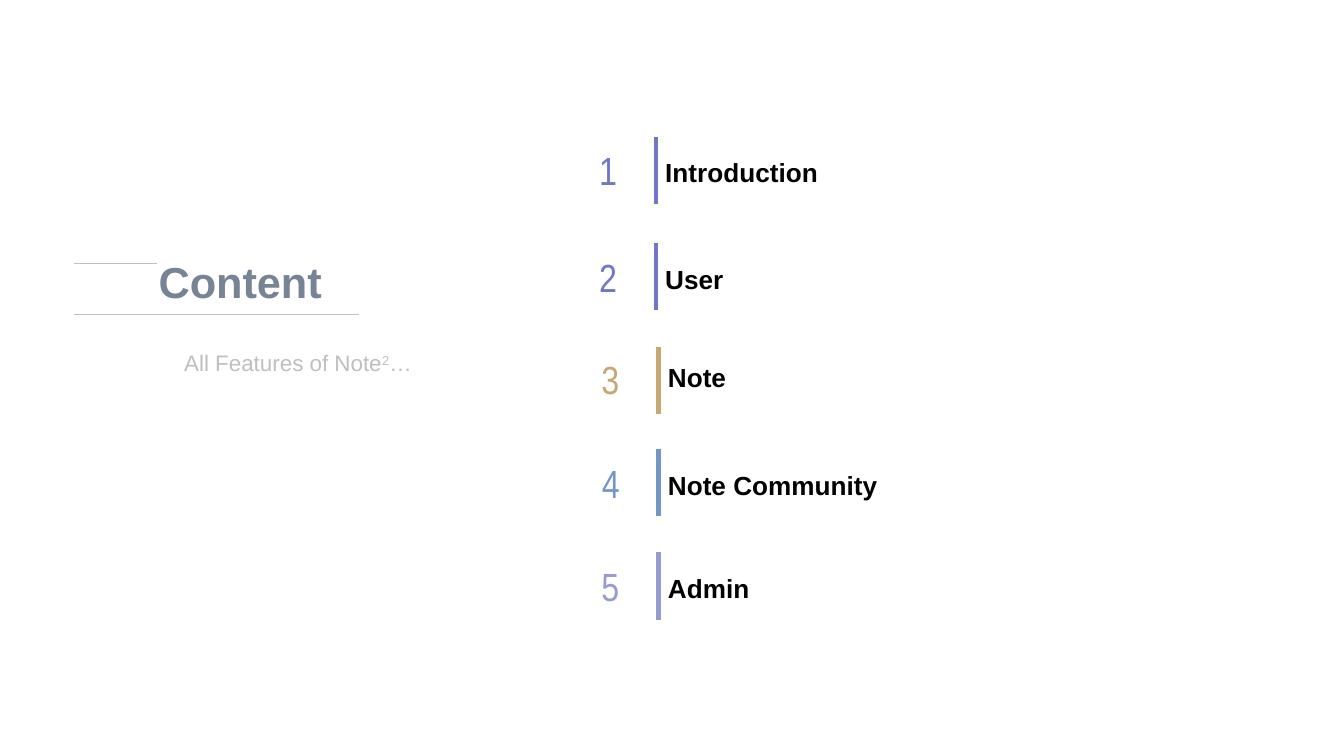
from lxml import etree
from pptx import Presentation
from pptx.dml.color import RGBColor
from pptx.enum.shapes import MSO_CONNECTOR
from pptx.enum.text import MSO_ANCHOR, PP_ALIGN
from pptx.oxml.ns import qn
from pptx.util import Inches, Pt

STRAIGHT = MSO_CONNECTOR.STRAIGHT
TOP, MIDDLE, BOTTOM = MSO_ANCHOR.TOP, MSO_ANCHOR.MIDDLE, MSO_ANCHOR.BOTTOM
LEFT, CENTER = PP_ALIGN.LEFT, PP_ALIGN.CENTER

BLACK = RGBColor(0x00, 0x00, 0x00)
GRAY = RGBColor(0xBF, 0xBF, 0xBF)
SLATE = RGBColor(0x77, 0x84, 0x95)
INDIGO = RGBColor(0x71, 0x76, 0xC5)
INDIGO_BAR = RGBColor(0x72, 0x77, 0xC5)
GOLD = RGBColor(0xC5, 0xA8, 0x73)
BLUE = RGBColor(0x73, 0x96, 0xC5)
LAVENDER = RGBColor(0x96, 0x9C, 0xD0)

presentation = Presentation()
presentation.slide_width = Inches(10)
presentation.slide_height = Inches(10) * 9 // 16
slide = presentation.slides.add_slide(presentation.slide_layouts[6])


def add_text(text, left, top, width, height, size, color, font="Arial",
             bold=False, align=LEFT, anchor=MIDDLE):
    box = slide.shapes.add_textbox(Inches(left), Inches(top), Inches(width), Inches(height))
    frame = box.text_frame
    frame.word_wrap = True
    frame.vertical_anchor = anchor
    frame.margin_left = frame.margin_right = Inches(0.07)
    frame.margin_top = frame.margin_bottom = Inches(0.04)
    paragraph = frame.paragraphs[0]
    paragraph.alignment = align
    for part in [text] if isinstance(text, str) else text:
        run = paragraph.add_run()
        run.text = part
        run.font.name = font
        run.font.size = Pt(size)
        run.font.bold = bold
        run.font.color.rgb = color
    return paragraph


def add_line(x1, y1, x2, y2, color, width):
    line = slide.shapes.add_connector(STRAIGHT, Inches(x1), Inches(y1), Inches(x2), Inches(y2))
    line.line.color.rgb = color
    line.line.width = Pt(width)
    etree.SubElement(line._element.spPr, qn("a:effectLst"))


add_line(1.17, 1.96, 0.55, 1.96, GRAY, 0.75)
add_line(0.55, 2.34, 2.67, 2.34, GRAY, 0.75)
add_text("Content", 1.11, 1.82, 1.38, 0.54, 23.2, SLATE, bold=True)
subtitle = add_text(["All Features of Note", "2", "…"], 1.3, 2.56, 2.32, 0.39, 12, GRAY, anchor=TOP)
subtitle.runs[1].font._element.set("baseline", "30000")

entries = [
    ("Introduction", 1.02, 1.04, 1.1, 4.88, 0.45, INDIGO, INDIGO_BAR),
    ("User", 1.81, 1.84, 1.89, 4.88, 0.45, INDIGO, INDIGO_BAR),
    ("Note", 2.58, 2.6, 2.62, 4.9, 0.48, GOLD, GOLD),
    ("Note Community", 3.34, 3.37, 3.43, 4.9, 0.49, BLUE, BLUE),
    ("Admin", 4.11, 4.14, 4.19, 4.9, 0.48, LAVENDER, LAVENDER),
]
for number, entry in enumerate(entries, 1):
    title, bar_top, number_top, title_top, bar_left, number_width, color, bar_color = entry
    add_text(str(number), 4.3, number_top, number_width, 0.44, 21, color,
             font="Arial Narrow", align=CENTER)
    add_line(bar_left, bar_top, bar_left, bar_top + 0.5, bar_color, 2.25)
    add_text(title, bar_left, title_top, 3.47, 0.34, 14, BLACK, bold=True, anchor=BOTTOM)

presentation.save("out.pptx")
